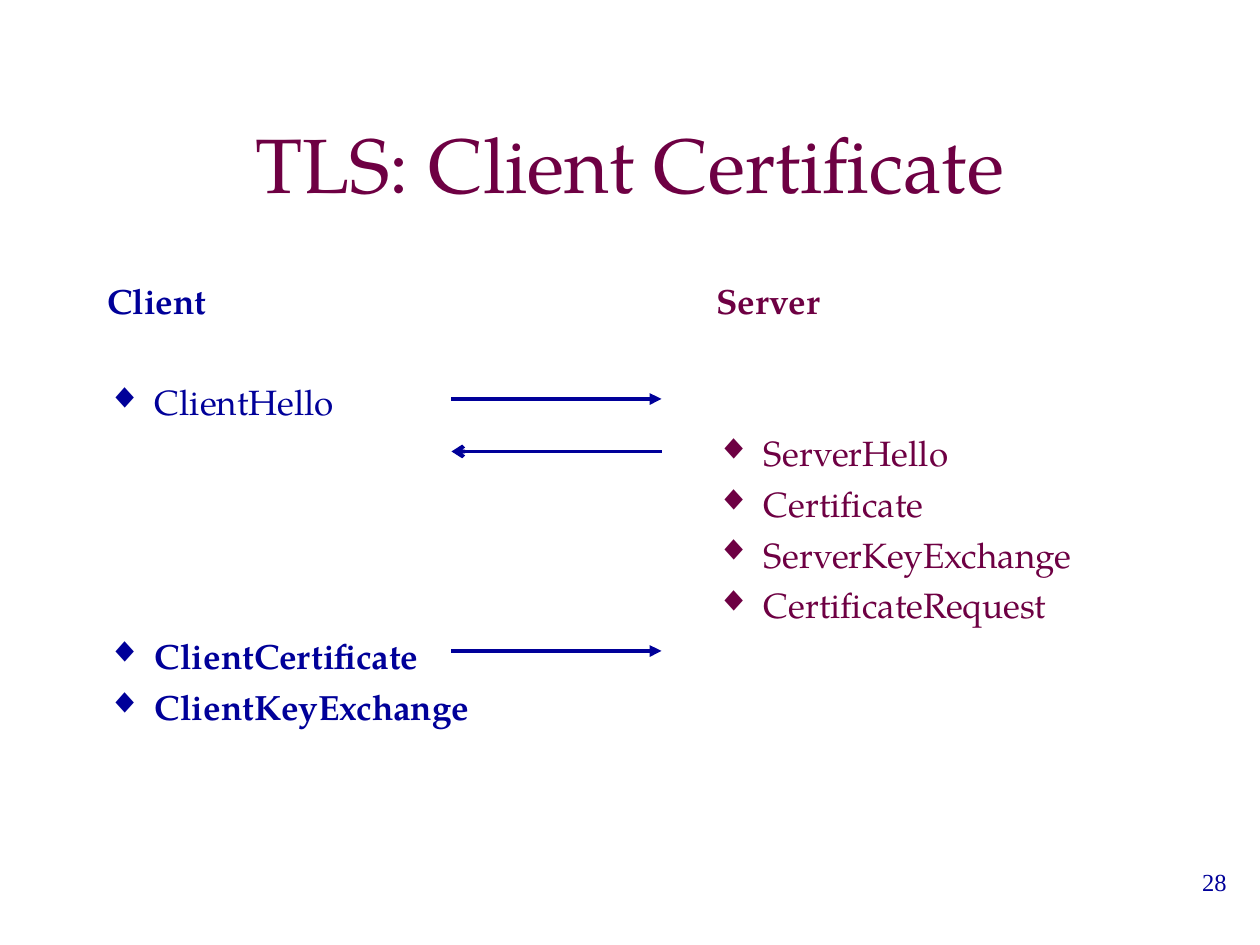
import pptx
import pptx.dml.color
import pptx.enum.shapes
import pptx.enum.text
import pptx.oxml
import pptx.oxml.ns
import pptx.util
from lxml import etree

BLUE = pptx.dml.color.RGBColor(0x00, 0x00, 0x99)
PLUM = pptx.dml.color.RGBColor(0x6E, 0x00, 0x43)

SERIF = "TeX Gyre Pagella"
CELL = pptx.util.Inches(1) // 12  # the layout grid: twelve cells to the inch
ROW_PITCH = 29  # points from one line of a list to the next
ROW_GAP = 5
HANGING = 0.38

# (row, text, bold); row 0 is the heading
CLIENT_ROWS = [
    (0, "Client", True),
    (2, "ClientHello", False),
    (7, "ClientCertificate", True),
    (8, "ClientKeyExchange", True),
]
SERVER_ROWS = [
    (0, "Server", True),
    (3, "ServerHello", False),
    (4, "Certificate", False),
    (5, "ServerKeyExchange", False),
    (6, "CertificateRequest", False),
]


def place(shape, left, top, width, height):
    """Set a shape's box in grid cells."""
    shape.left, shape.top = left * CELL, top * CELL
    shape.width, shape.height = width * CELL, height * CELL


def format_text(para, size, color, font=SERIF, bold=False):
    for span in para.runs:
        span.font.name = font
        span.font.size = pptx.util.Pt(size)
        span.font.bold = bold
        span.font.color.rgb = color


def add_child(parent, tag, **attributes):
    child = etree.SubElement(parent, pptx.oxml.ns.qn(tag))
    for name, value in attributes.items():
        child.set(name, value)
    return child


def set_bullet(para, color, indent, bulleted):
    properties = para._p.get_or_add_pPr()
    properties.set("marL", str(pptx.util.Inches(indent + HANGING)))
    properties.set("indent", str(-pptx.util.Inches(HANGING)))
    if bulleted:
        add_child(add_child(properties, "a:buClr"), "a:srgbClr", val=str(color))
        add_child(properties, "a:buFont", typeface=SERIF)
        add_child(properties, "a:buChar", char="◆")
    else:
        add_child(properties, "a:buNone")


def fill_title(box, text):
    place(box, 9, 8, 102, 15)
    box.text_frame.text = text
    box.text_frame.vertical_anchor = pptx.enum.text.MSO_ANCHOR.MIDDLE
    para = box.text_frame.paragraphs[0]
    para.alignment = pptx.enum.text.PP_ALIGN.CENTER
    format_text(para, 44, PLUM)


def fill_message_list(box, left, rows, color, indent=0):
    """Write one party's messages, each on its row of the exchange."""
    place(box, left, 26, 50, 54)
    frame = box.text_frame
    frame.auto_size = pptx.enum.text.MSO_AUTO_SIZE.NONE
    frame.text = "\n".join(text for _, text, _ in rows)
    previous = -1
    for para, (row, _, bold) in zip(frame.paragraphs, rows):
        skipped = row - previous - 1
        para.space_before = pptx.util.Pt(ROW_GAP + skipped * ROW_PITCH)
        set_bullet(para, color, indent, bulleted=row > 0)
        format_text(para, 20, color, bold=bold)
        previous = row


def add_arrow(page, start, end, top, head="triangle"):
    arrow = page.shapes.add_connector(
        pptx.enum.shapes.MSO_CONNECTOR.STRAIGHT,
        start * CELL, top * CELL, end * CELL, top * CELL)
    arrow.line.color.rgb = BLUE
    arrow.line.width = pptx.util.Pt(2.25)
    add_child(arrow.line._ln, "a:tailEnd", type=head)
    add_child(arrow._element.spPr, "a:effectLst")


def add_page_number(page, number):
    box = page.shapes.add_textbox(0, 0, 0, 0)
    place(box, 93, 82, 25, 6)
    box.text_frame.word_wrap = True
    box.text_frame.text = number
    para = box.text_frame.paragraphs[0]
    para.alignment = pptx.enum.text.PP_ALIGN.RIGHT
    format_text(para, 14, BLUE, font="Times New Roman")


def main():
    deck = pptx.Presentation()
    deck.slide_width = pptx.util.Inches(10)
    deck.slide_height = pptx.util.Inches(7.5)
    page = deck.slides.add_slide(deck.slide_layouts.get_by_name("Two Content"))

    title, client, server = page.placeholders
    fill_title(title, "TLS: Client Certificate")
    fill_message_list(client, 9, CLIENT_ROWS, BLUE)
    fill_message_list(server, 61, SERVER_ROWS, PLUM, indent=0.5)

    client_edge, server_edge = 43, 63
    add_arrow(page, client_edge, server_edge, 38)
    add_arrow(page, server_edge, client_edge, 43, head="arrow")
    add_arrow(page, client_edge, server_edge, 62)
    add_page_number(page, "28")
    deck.save("out.pptx")


if __name__ == "__main__":
    main()
